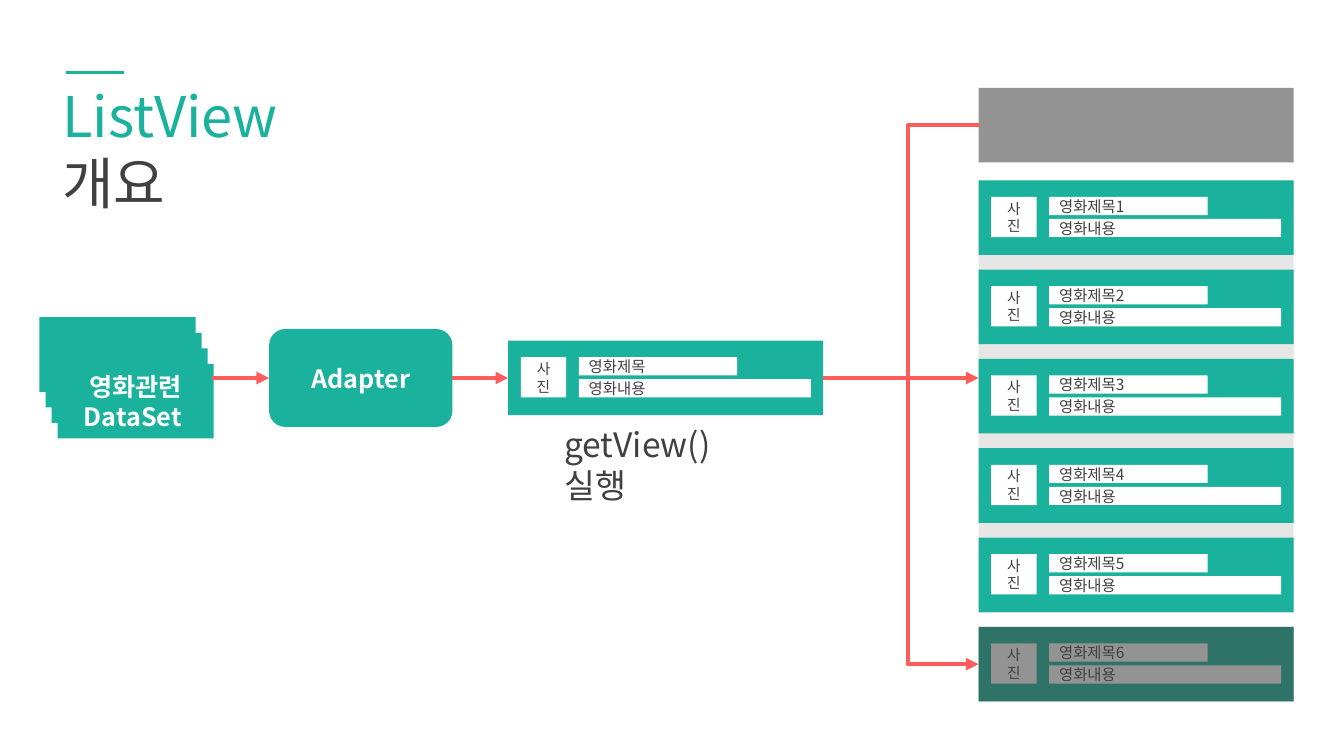
"""Build the ListView overview slide: data set, adapter, getView() and the list rows."""
import pptx
import pptx.dml.color
import pptx.enum.shapes
import pptx.enum.text
import pptx.oxml
import pptx.oxml.ns
import pptx.util

Pt = pptx.util.Pt
RGBColor = pptx.dml.color.RGBColor
SHAPE = pptx.enum.shapes.MSO_SHAPE
CONNECTOR = pptx.enum.shapes.MSO_CONNECTOR
ALIGN = pptx.enum.text.PP_ALIGN
ANCHOR = pptx.enum.text.MSO_ANCHOR
qn = pptx.oxml.ns.qn

TEAL = RGBColor(0x1A, 0xB2, 0x9D)
DARK = RGBColor(0x40, 0x40, 0x40)
WHITE = RGBColor(0xFF, 0xFF, 0xFF)
PALE = RGBColor(0xE7, 0xE6, 0xE6)
CORAL = RGBColor(0xFF, 0x5D, 0x5B)
FONT = "Noto Sans CJK KR"

TITLE = [("ListView", TEAL), (" 개요", DARK)]
DATA_SET = ["영화관련", "DataSet "]
ADAPTER = "Adapter"
CALL = "getView() 실행"
PHOTO, MOVIE_TITLE, MOVIE_TEXT = "사진", "영화제목", "영화내용"
ROW_COUNT = 6

CARD_WIDTH, CARD_HEIGHT = 225, 53.3
CARD_PARTS = [
    (PHOTO, 9, 11.8, 32.4, 28.8, 10.5, ALIGN.CENTER),
    (MOVIE_TEXT, 50.4, 27.5, 165.8, 13, 11, ALIGN.LEFT),
    (MOVIE_TITLE, 50.4, 11.8, 113.2, 13, 11, ALIGN.LEFT),
]
LIST_LEFT, LIST_TOP, ROW_PITCH = 699, 128.8, 63.8
CARD_LEFT, FLOW_Y = 363, 270
STACK_LEFT, STACK_TOP, STACK_WIDTH, STACK_COUNT = 28.2, 226.6, 111.6, 4
STACK_STEP = (4.3, 11.1)
HIDDEN_TOP = 62.8
TRUNK_X = 648


def add_run(paragraph, text, size, color, bold=False):
    run = paragraph.add_run()
    run.text = text
    run.font.size, run.font.bold, run.font.name = Pt(size), bold, FONT
    run.font.color.rgb = color
    properties = run.font._element
    pptx.oxml.ns.nsdecls("a")
    properties.append(pptx.oxml.parse_xml(
        f'<a:ea {pptx.oxml.ns.nsdecls("a")} typeface="{FONT}"/>'))


def add_box(shapes, left, top, width, height, color, kind=SHAPE.RECTANGLE, alpha=None):
    shape = shapes.add_shape(kind, Pt(left), Pt(top), Pt(width), Pt(height))
    shape.shadow.inherit = False
    shape.fill.solid()
    shape.fill.fore_color.rgb = color
    shape.line.fill.background()
    if alpha:
        color_element = shape._element.spPr.find(qn("a:solidFill"))[0]
        color_element.append(pptx.oxml.parse_xml(
            f'<a:alpha {pptx.oxml.ns.nsdecls("a")} val="{alpha * 1000}"/>'))
    return shape


def write(shape, lines, size, color, align, bold=False):
    frame = shape.text_frame
    frame.word_wrap = True
    for index, line in enumerate(lines):
        paragraph = frame.add_paragraph() if index else frame.paragraphs[0]
        paragraph.alignment = align
        add_run(paragraph, line, size, color, bold)


def add_card(slide, left, top, number=""):
    group = slide.shapes.add_group_shape()
    card = add_box(group.shapes, left, top, CARD_WIDTH, CARD_HEIGHT, TEAL)
    for label, x, y, width, height, size, align in CARD_PARTS:
        part = add_box(group.shapes, left + x, top + y, width, height, WHITE)
        text = f"{label}{number}" if label == MOVIE_TITLE else label
        write(part, [text], size, DARK, align)
    return card


def add_line(slide, start, end, color, width, kind=CONNECTOR.STRAIGHT, arrow=True):
    line = slide.shapes.add_connector(kind, *(Pt(value) for value in start + end))
    line.line.color.rgb = color
    line.line.width = Pt(width)
    if arrow:
        line.line._get_or_add_ln().append(pptx.oxml.parse_xml(
            f'<a:tailEnd {pptx.oxml.ns.nsdecls("a")} type="triangle"/>'))
    line._element.spPr.append(pptx.oxml.parse_xml(
        f'<a:effectLst {pptx.oxml.ns.nsdecls("a")}/>'))
    return line


def add_title(slide):
    title = slide.shapes.title
    title.left, title.top, title.width, title.height = Pt(37.4), Pt(54.7), Pt(200), Pt(104)
    frame = title.text_frame
    frame.word_wrap = True
    frame.auto_size = pptx.enum.text.MSO_AUTO_SIZE.NONE
    frame.vertical_anchor = ANCHOR.TOP
    frame.paragraphs[0].alignment = ALIGN.LEFT
    for text, color in TITLE:
        add_run(frame.paragraphs[0], text, 40, color)
    add_line(slide, (88.6, 51.8), (46.8, 51.8), TEAL, 2, arrow=False)


def add_list(slide):
    add_box(slide.shapes, LIST_LEFT, LIST_TOP, CARD_WIDTH, 309, PALE)
    for row in range(ROW_COUNT):
        add_card(slide, LIST_LEFT, LIST_TOP + row * ROW_PITCH, row + 1)
    last_top = LIST_TOP + (ROW_COUNT - 1) * ROW_PITCH
    for top in (HIDDEN_TOP, last_top):
        add_box(slide.shapes, LIST_LEFT, top, CARD_WIDTH, CARD_HEIGHT, DARK, alpha=56)
    middle = CARD_HEIGHT / 2
    recycle = add_line(slide, (LIST_LEFT + 1, HIDDEN_TOP + middle),
                       (LIST_LEFT, last_top + middle), CORAL, 3, CONNECTOR.ELBOW)
    bend = (LIST_LEFT + 1 - TRUNK_X) * 100000
    guides = recycle._element.spPr.find(qn("a:prstGeom")).get_or_add_avLst()
    guides.append(pptx.oxml.parse_xml(
        f'<a:gd {pptx.oxml.ns.nsdecls("a")} name="adj1" fmla="val {bend}"/>'))


def add_flow(slide):
    for layer in range(STACK_COUNT):
        data_set = add_box(slide.shapes, STACK_LEFT + layer * STACK_STEP[0],
                           STACK_TOP + layer * STACK_STEP[1], STACK_WIDTH, CARD_HEIGHT, TEAL)
    write(data_set, DATA_SET, 18, WHITE, ALIGN.CENTER, bold=True)
    adapter = add_box(slide.shapes, 192.2, FLOW_Y - 35, 131, 70, TEAL, SHAPE.ROUNDED_RECTANGLE)
    write(adapter, [ADAPTER], 18, WHITE, ALIGN.CENTER, bold=True)
    card = add_card(slide, CARD_LEFT, FLOW_Y - CARD_HEIGHT / 2)

    to_adapter = add_line(slide, (151.2, FLOW_Y), (192.2, FLOW_Y), CORAL, 3)
    to_adapter.end_connect(adapter, 1)
    to_card = add_line(slide, (323.2, FLOW_Y), (CARD_LEFT, FLOW_Y), CORAL, 3)
    to_card.begin_connect(adapter, 3)
    to_card.end_connect(card, 1)
    to_list = add_line(slide, (CARD_LEFT + CARD_WIDTH, FLOW_Y), (LIST_LEFT, FLOW_Y), CORAL, 3)
    to_list.begin_connect(card, 3)

    call = slide.shapes.add_textbox(Pt(396), Pt(299.5), Pt(140), Pt(65))
    write(call, [CALL], 24, DARK, ALIGN.LEFT)


def main():
    presentation = pptx.Presentation()
    presentation.slide_width, presentation.slide_height = Pt(960), Pt(540)
    slide = presentation.slides.add_slide(presentation.slide_layouts[5])
    add_title(slide)
    add_list(slide)
    add_flow(slide)
    presentation.save("out.pptx")


if __name__ == "__main__":
    main()
